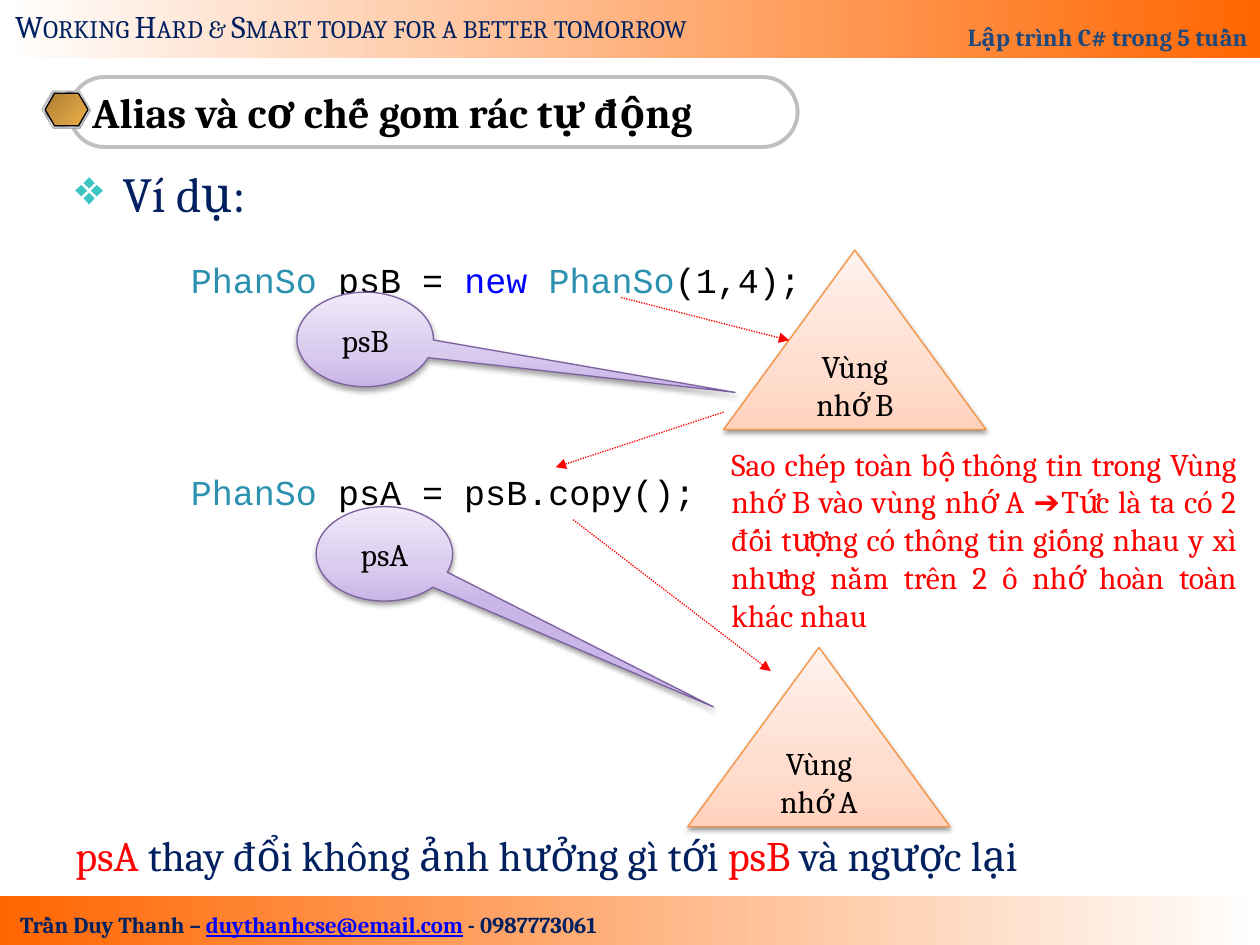
from lxml.etree import SubElement
from pptx import Presentation
from pptx.dml.color import RGBColor
from pptx.enum.dml import MSO_LINE as Dash
from pptx.enum.shapes import MSO_CONNECTOR as Connector, MSO_SHAPE as Shape
from pptx.enum.text import MSO_ANCHOR as Anchor, PP_ALIGN as Align
from pptx.oxml.ns import qn
from pptx.util import Pt

COLORS = {
    "white": "FFFFFF", "black": "000000", "orange": "FF6600", "navy": "002060",
    "header": "1F497D", "link": "0000FF", "type": "2B91AF", "red": "FF0000",
    "bullet": "3DC5C5", "silver": "C0C0C0", "gray": "808080",
    "light": "E6E6E6", "steel": "7D8496", "bronze": "AB7E34", "gold": "EFB049",
    "peach_line": "F69240", "peach": "FFD2BD", "peach_mid": "FFDED0",
    "peach_light": "FFF2ED", "violet_line": "7D60A0", "violet": "C9B5E8",
    "violet_mid": "D8CBEE", "violet_light": "F0EAF9",
}
METAL = [(0, "light"), (7, "steel"), (26, "light"), (34, "steel"),
         (46, "light"), (50, "white"), (54, "light"), (66, "steel"),
         (74, "light"), (93, "steel"), (100, "light")]
PEACH = [(0, "peach"), (35, "peach_mid"), (100, "peach_light")]
VIOLET = [(0, "violet"), (35, "violet_mid"), (100, "violet_light")]


def rgb(name):
    return RGBColor.from_string(COLORS[name])


def points(values):
    return [Pt(value) for value in values]


class SlideBuilder:
    def __init__(self, slide, font="Cambria"):
        self.slide = slide
        self.font = font

    def fill_text(self, frame, paragraphs, wrap=True, anchor=Anchor.TOP, **style):
        """Each paragraph is (format dict, runs); each run is (text, colour, extra font values)."""
        frame.word_wrap = wrap
        frame.vertical_anchor = anchor
        for index, (layout, runs) in enumerate(paragraphs):
            para = frame.paragraphs[0] if index == 0 else frame.add_paragraph()
            for key, value in layout.items():
                setattr(para, key, value)
            for text, color, *extra in runs:
                span = para.add_run()
                span.text = text
                values = {"name": self.font, "size": Pt(18), **style}
                for more in extra:
                    values.update(more)
                for key, value in values.items():
                    setattr(span.font, key, value)
                span.font.color.rgb = rgb(color)

    def text(self, area, paragraphs, **style):
        box = self.slide.shapes.add_textbox(*points(area))
        self.fill_text(box.text_frame, paragraphs, **style)
        return box

    def shape(self, kind, area, fill=None, stops=None, angle=0, line=None,
              weight=0.75, adjust=(), shadow=False):
        """Angle runs counter-clockwise."""
        shape = self.slide.shapes.add_shape(kind, *points(area))
        for index, value in enumerate(adjust):
            shape.adjustments[index] = value
        if stops:
            self.gradient(shape, stops, angle)
        elif fill:
            shape.fill.solid()
            shape.fill.fore_color.rgb = rgb(fill)
        else:
            shape.fill.background()
        if line:
            shape.line.color.rgb = rgb(line)
            shape.line.width = Pt(weight)
        else:
            shape.line.fill.background()
        shape.shadow.inherit = False
        if shadow:
            self.drop_shadow(shape)
        return shape

    def gradient(self, shape, stops, angle):
        shape.fill.gradient()
        shape.fill.gradient_angle = angle
        stop_list = shape._element.spPr.find(".//" + qn("a:gsLst"))
        for old in list(stop_list):
            stop_list.remove(old)
        for position, color in stops:
            stop = SubElement(stop_list, qn("a:gs"), pos=str(position * 1000))
            SubElement(stop, qn("a:srgbClr"), val=COLORS[color])

    def drop_shadow(self, shape):
        effects = shape._element.spPr.find(qn("a:effectLst"))
        outer = SubElement(effects, qn("a:outerShdw"), blurRad=str(Pt(3.1)),
                           dist=str(Pt(1.6)), dir="5400000", rotWithShape="0")
        color = SubElement(outer, qn("a:srgbClr"), val=COLORS["black"])
        SubElement(color, qn("a:alpha"), val="38000")

    def labelled(self, kind, area, label, **look):
        shape = self.shape(kind, area, angle=90, shadow=True, **look)
        self.fill_text(shape.text_frame, [({"alignment": Align.CENTER}, [(label, "black")])],
                       anchor=Anchor.MIDDLE)

    def arrow(self, start, end):
        arrow = self.slide.shapes.add_connector(Connector.STRAIGHT, *points(start + end))
        arrow.line.color.rgb = rgb("red")
        arrow.line.width = Pt(0.75)
        arrow.line.dash_style = Dash.ROUND_DOT
        properties = arrow._element.spPr
        SubElement(properties.find(qn("a:ln")), qn("a:tailEnd"), type="triangle")
        SubElement(properties, qn("a:effectLst"))

    def bullet(self, para, char, color, indent):
        layout = para._p.get_or_add_pPr()
        layout.set("marL", str(Pt(indent)))
        layout.set("indent", str(Pt(-indent)))
        tint = SubElement(layout, qn("a:buClr"))
        SubElement(tint, qn("a:srgbClr"), val=COLORS[color])
        SubElement(layout, qn("a:buChar"), char=char)


def add_bands(builder):
    builder.shape(Shape.RECTANGLE, (0, 512, 720, 28), stops=[(0, "orange"), (100, "white")])
    header = builder.shape(Shape.RECTANGLE, (0, 0, 720, 33),
                           stops=[(0, "white"), (100, "orange")])
    builder.fill_text(header.text_frame,
                      [({"alignment": Align.RIGHT}, [("Lập trình C# trong 5 tuần", "header")])],
                      anchor=Anchor.BOTTOM, size=Pt(14), bold=True)
    builder.text((-5.5, 517, 363.5, 23), [({"alignment": Align.CENTER}, [
        ("Trần Duy Thanh – ", "navy"),
        ("duythanhcse@email.com", "link", {"underline": True}),
        (" - 0987773061", "navy")])], wrap=False, size=Pt(13), bold=True)
    motto = builder.text((1.5, 0.5, 425, 29), [
        ({}, [("Working Hard & Smart today for a better tomorrow", "navy")])], wrap=False)
    motto.text_frame.paragraphs[0].runs[0].font._element.set("cap", "small")


def add_title(builder):
    title = builder.shape(Shape.ROUNDED_RECTANGLE, (39.8, 44, 416, 40), line="silver",
                          weight=2.25, adjust=[0.5])
    builder.fill_text(title.text_frame, [({"alignment": Align.LEFT}, [
        ("Alias và cơ chế gom rác tự động", "black")])],
        wrap=False, anchor=Anchor.MIDDLE, size=Pt(24), bold=True)
    hexagons = [
        ((24.5, 52.5, 27.5, 21), {"fill": "gray"}),
        ((24, 52, 27.5, 21), {"stops": METAL, "line": "silver"}),
        ((25.8, 53.3, 24.5, 18.7),
         {"stops": [(0, "bronze"), (100, "gold")], "line": "black"}),
    ]
    for area, look in hexagons:
        builder.shape(Shape.HEXAGON, area, angle=315, adjust=[0.29, 1.15], **look)


def add_content(builder):
    body = builder.text((36, 90, 648, 413), [
        ({}, [("Ví dụ:", "navy", {"size": Pt(28)})]),
        ({"space_before": Pt(347)}, [
            ("psA", "red"), (" thay đổi không ảnh hưởng gì tới ", "navy"),
            ("psB", "red"), (" và ngược lại", "navy")])], size=Pt(24))
    builder.bullet(body.text_frame.paragraphs[0], "❖", "bullet", 27)
    builder.text((102, 144, 582, 153), [
        ({}, [("PhanSo", "type"), (" psB = ", "black"), ("new", "link"), (" ", "black"),
              ("PhanSo", "type"), ("(1,4);", "black")]),
        ({"space_before": Pt(97.3)}, [("PhanSo", "type"), (" psA = psB.copy();", "black")]),
    ], name="Courier New", size=Pt(20))

    for left, top, label in [(393, 370, "Vùng nhớ A"), (413.5, 143, "Vùng nhớ B")]:
        builder.labelled(Shape.ISOSCELES_TRIANGLE, (left, top, 150, 102.5), label,
                         stops=PEACH, line="peach_line")
    for left, top, label, pointer in [(180.7, 289.5, "psA", (2.41, 1.62)),
                                      (169.7, 167, "psB", (2.71, 0.56))]:
        builder.labelled(Shape.OVAL_CALLOUT, (left, top, 78, 54), label,
                         stops=VIOLET, line="violet_line", adjust=pointer)

    builder.text((410.8, 250.5, 303, 117), [({"alignment": Align.JUSTIFY}, [
        ("Sao chép toàn bộ thông tin trong Vùng nhớ B vào vùng nhớ A ➔Tức là ta có 2 đối "
         "tượng có thông tin giống nhau y xì nhưng nằm trên 2 ô nhớ hoàn toàn khác nhau",
         "red")])])
    for start, end in [((413.5, 235.5), (317.5, 267)), ((327.5, 297), (440.5, 383.5)),
                       ((355, 170), (451, 194.5))]:
        builder.arrow(start, end)


def main():
    deck = Presentation()
    deck.slide_width, deck.slide_height = Pt(720), Pt(540)
    page = deck.slides.add_slide(deck.slide_layouts[6])
    builder = SlideBuilder(page)
    add_bands(builder)
    add_title(builder)
    add_content(builder)
    deck.save("out.pptx")


if __name__ == "__main__":
    main()
